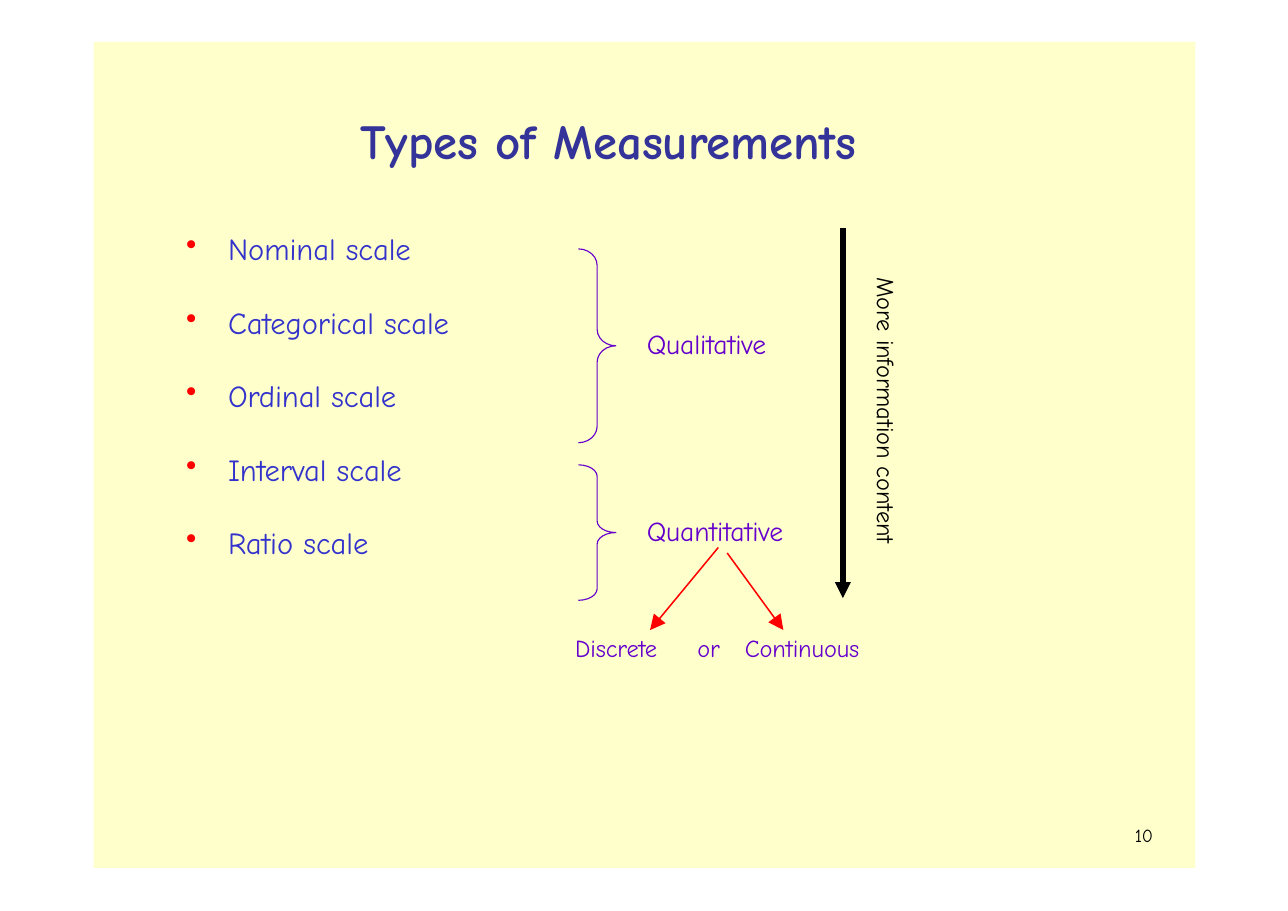
"""Build a slide on the types of measurement scales."""
from pptx import Presentation
from pptx import util as u
from pptx.dml.color import RGBColor
from pptx.enum import shapes, text
from pptx.oxml.ns import qn
from lxml import etree

CREAM = RGBColor(0xFF, 0xFF, 0xCC)
NAVY = RGBColor(0x33, 0x33, 0x9A)
BLUE = RGBColor(0x33, 0x33, 0xCC)
PLUM = RGBColor(0x65, 0x00, 0xCC)
RED = RGBColor(0xFF, 0x00, 0x00)
BLACK = RGBColor(0x00, 0x00, 0x00)
FONT = "Comic Neue"

TITLE = "Types of Measurements"
SCALES = ["Nominal scale", "Categorical scale", "Ordinal scale",
          "Interval scale", "Ratio scale"]
GROUPS = [("Qualitative", 2.26, 1.76), ("Quantitative", 4.22, 1.23)]
KINDS = "Discrete\tor\tContinuous"
TABS = [1.11, 1.54]
TREND = "More information content"
PAGE = "10"
ARROWS = [((7.65, 2.07), (7.65, 5.43), BLACK, 3.5, "med"),
          ((6.52, 4.97), (5.9, 5.72), RED, 1, "lg"),
          ((6.6, 5.02), (7.11, 5.72), RED, 1, "lg")]


def add_text(slide, lines, box, size, color, bold=False, top=0.01, space=1):
    shape = slide.shapes.add_textbox(*map(u.Inches, box))
    frame = shape.text_frame
    frame.text = "\n".join(lines)
    frame.word_wrap = True
    frame.auto_size = text.MSO_AUTO_SIZE.NONE
    frame.margin_left = frame.margin_right = frame.margin_bottom = 0
    frame.margin_top = u.Inches(top)
    for para in frame.paragraphs:
        para.space_before = u.Pt(space)
        for run in para.runs:
            font = run.font
            font.name, font.size, font.bold = FONT, u.Pt(size), bold
            font.color.rgb = color
            run._r.get_or_add_rPr().set("spc", "-5")
    return frame


def add_bullets(frame):
    for para in frame.paragraphs:
        props = para._p.get_or_add_pPr()
        props.set("marL", str(u.Inches(0.39)))
        props.set("indent", str(u.Inches(-0.38)))
        tint = etree.SubElement(props, qn("a:buClr"))
        etree.SubElement(tint, qn("a:srgbClr"), val=str(RED))
        etree.SubElement(props, qn("a:buChar"), char="•")
    frame.paragraphs[0].space_before = u.Pt(1)


def add_tabs(frame, stops):
    props = frame.paragraphs[0]._p.get_or_add_pPr()
    tabs = etree.SubElement(props, qn("a:tabLst"))
    for stop in stops:
        etree.SubElement(tabs, qn("a:tab"), pos=str(u.Inches(stop)), algn="l")


def add_brace(slide, top, height):
    brace = slide.shapes.add_shape(
        shapes.MSO_SHAPE.RIGHT_BRACE,
        *map(u.Inches, (5.25, top, 0.34, height)))
    brace.shadow.inherit = False
    brace.fill.background()
    brace.line.color.rgb = PLUM
    brace.line.width = u.Pt(0.75)
    brace.adjustments[0] = height / 4


def add_arrow(slide, start, end, color, width, head):
    arrow = slide.shapes.add_connector(
        shapes.MSO_CONNECTOR.STRAIGHT, *map(u.Inches, start + end))
    arrow.line.color.rgb = color
    arrow.line.width = u.Pt(width)
    etree.SubElement(arrow.line._get_or_add_ln(), qn("a:tailEnd"),
                     type="triangle", w=head, len=head)
    etree.SubElement(arrow._element.spPr, qn("a:effectLst"))


def main():
    deck = Presentation()
    deck.slide_width, deck.slide_height = u.Inches(11.69), u.Inches(8.27)
    slide = deck.slides.add_slide(deck.slide_layouts[6])

    panel = slide.shapes.add_shape(
        shapes.MSO_SHAPE.RECTANGLE, *map(u.Inches, (0.85, 0.38, 10, 7.5)))
    panel.shadow.inherit = False
    panel.fill.solid()
    panel.fill.fore_color.rgb = CREAM
    panel.line.fill.background()

    add_text(slide, [TITLE], (3.27, 0.99, 5.18, 0.56), 32, NAVY, bold=True)
    add_bullets(add_text(slide, SCALES, (1.68, 2.08, 2.6, 3.03), 20, BLUE,
                         space=24))
    for name, top, height in GROUPS:
        add_brace(slide, top, height)
        mid = top + height / 2
        add_text(slide, [name], (5.87, mid - 0.18, 1.51, 0.33), 18, PLUM)
    for arrow in ARROWS:
        add_arrow(slide, *arrow)
    trend = add_text(slide, [TREND], (7.84, 2.48, 0.34, 2.7), 16, BLACK,
                     top=0.04, space=2.6)
    trend._txBody.bodyPr.set("vert", "vert")
    add_tabs(add_text(slide, [KINDS], (5.22, 5.74, 2.66, 0.3), 16, PLUM), TABS)
    add_text(slide, [PAGE], (10.3, 7.45, 0.26, 0.26), 12, BLACK, top=0.03,
             space=2.2)
    deck.save("out.pptx")


if __name__ == "__main__":
    main()
